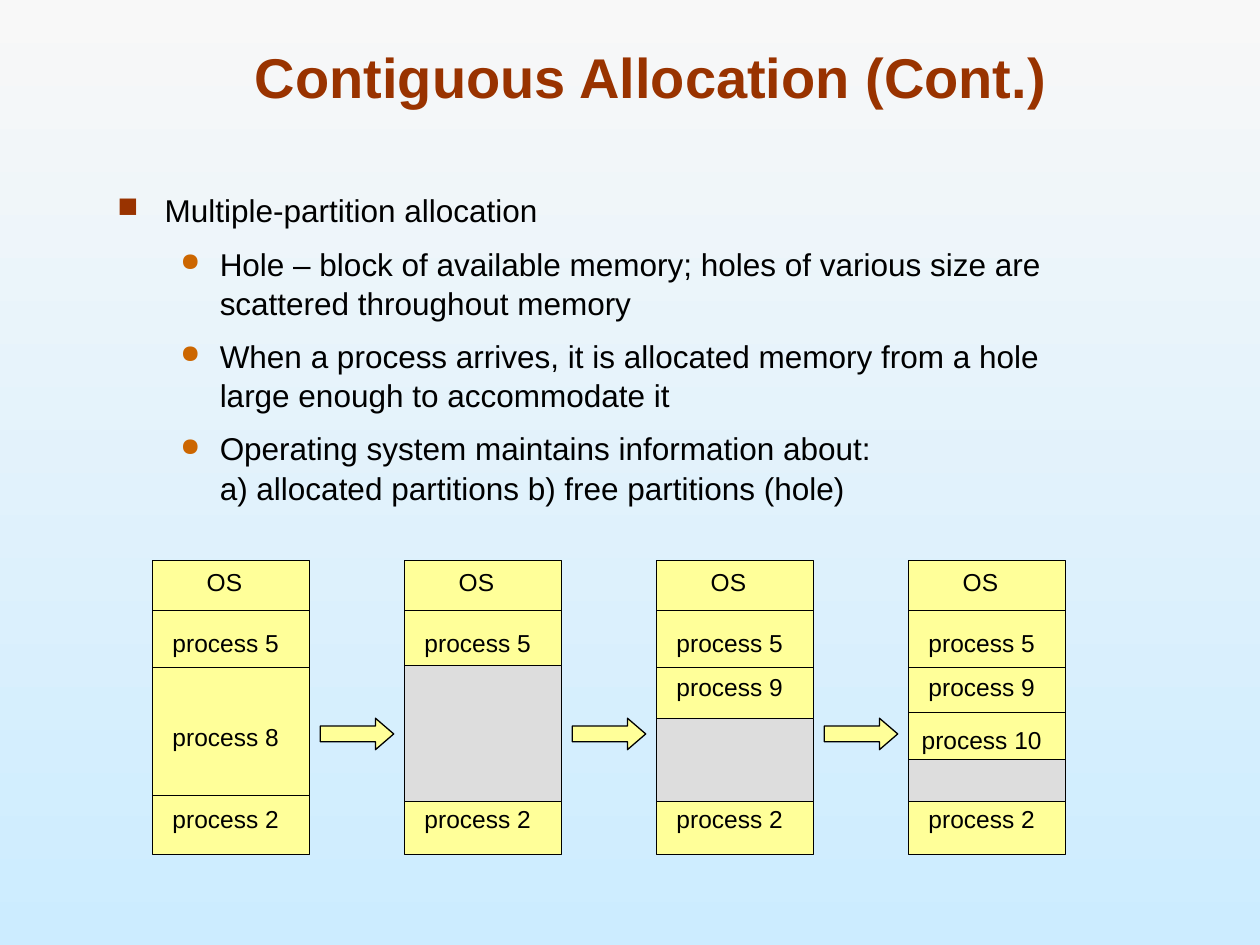
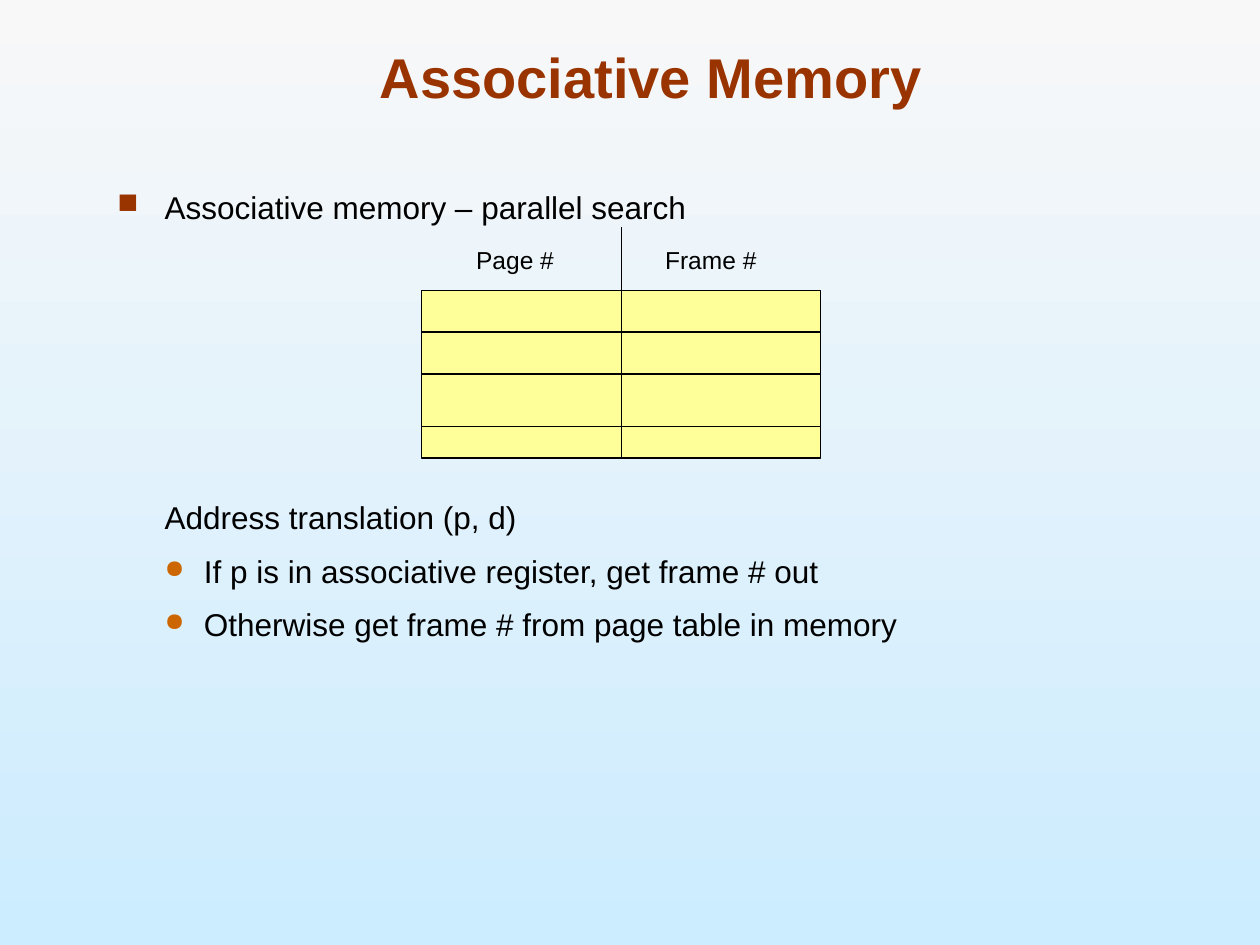
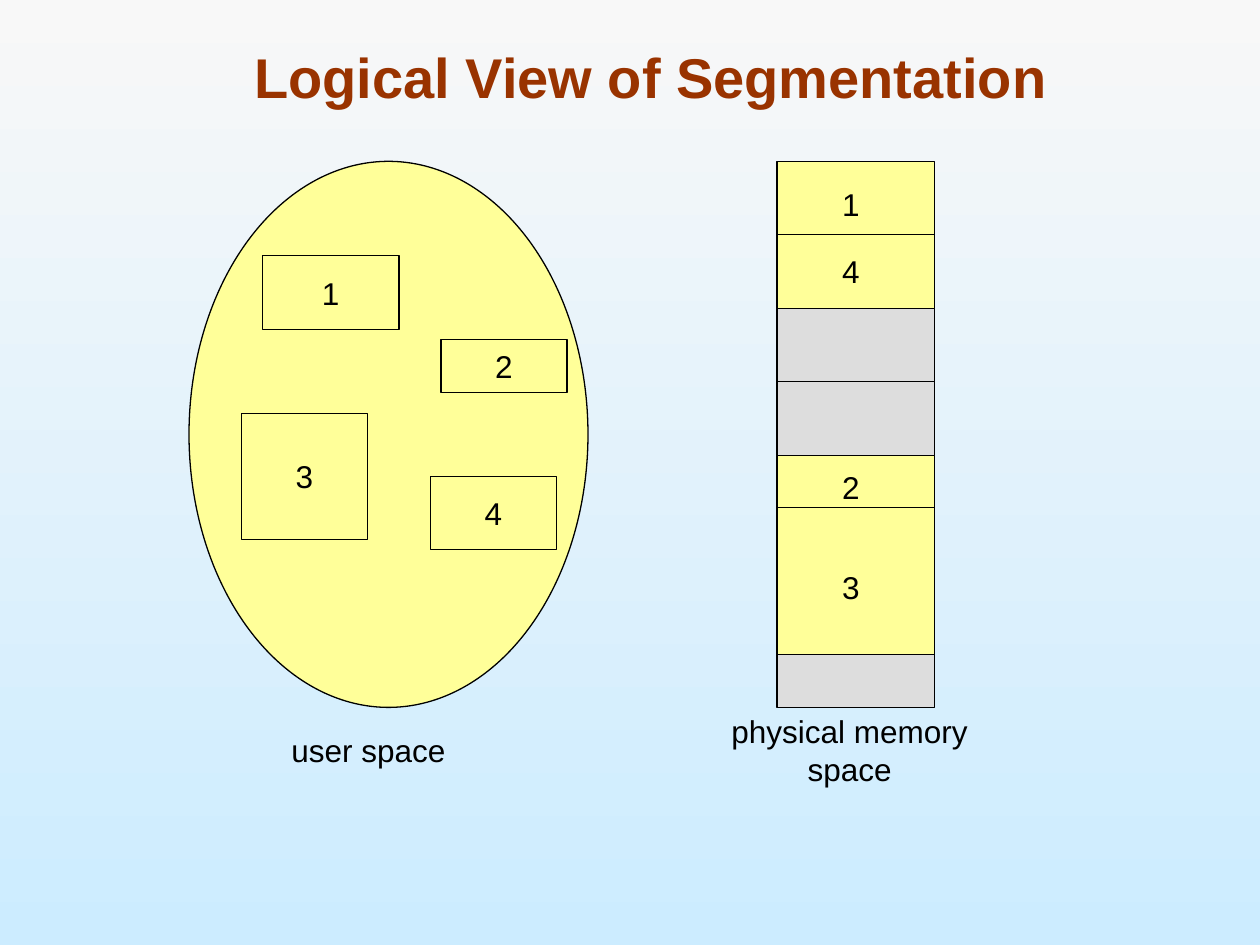
import lxml.etree
import pptx
import pptx.dml.color
import pptx.enum.shapes
import pptx.enum.text
import pptx.oxml.ns
import pptx.util

Pt = pptx.util.Pt
color = pptx.dml.color.RGBColor.from_string
qn = pptx.oxml.ns.qn
Shape = pptx.enum.shapes.MSO_SHAPE
Align = pptx.enum.text.PP_ALIGN
Anchor = pptx.enum.text.MSO_ANCHOR

FONT = "Arial"
BLACK = "000000"
RUST = "993300"
ORANGE = "CC6600"
YELLOW = "FFFF99"
GREY = "DDDDDD"
BACKGROUND = ("F8F8F8", "CCECFF")
LINE_WIDTH = 0.75
BODY_SIZE = 18
LABEL_SIZE = 14
SPACE_BEFORE = 7.9
BULLETS = {"square": ("■", RUST, 90), "dot": ("●", ORANGE, 80)}


def add_box(page, kind, bounds, fill=None, text="", size=BODY_SIZE,
            align=Align.CENTER, ink=BLACK, bold=False):
    """Add a filled preset shape, or a plain text box when kind is None."""
    lengths = [Pt(length) for length in bounds]
    if kind is None:
        box = page.shapes.add_textbox(*lengths)
    else:
        box = page.shapes.add_shape(kind, *lengths)
        box.shadow.inherit = False
        box.fill.solid()
        box.fill.fore_color.rgb = color(fill)
        box.line.color.rgb = color(BLACK)
        box.line.width = Pt(LINE_WIDTH)
    if text:
        frame = box.text_frame
        frame.word_wrap = False
        frame.vertical_anchor = Anchor.MIDDLE
        para = frame.paragraphs[0]
        para.text = text
        para.alignment = align
        para.font.name = FONT
        para.font.size = Pt(size)
        para.font.bold = bold
        para.font.color.rgb = color(ink)
    return box


def add_body(page, top, height, items):
    """Add body text; each item is bullet, left margin, hanging, space before, text."""
    frame = page.shapes.add_textbox(Pt(60), Pt(top), Pt(579), Pt(height)).text_frame
    frame.word_wrap = True
    for index, (bullet, margin, hanging, before, text) in enumerate(items):
        para = frame.add_paragraph() if index else frame.paragraphs[0]
        para.text = text
        para.line_spacing = 1.04
        if index:
            para.space_before = Pt(before)
        properties = para._p.get_or_add_pPr()
        properties.set("marL", str(Pt(margin)))
        properties.set("indent", str(-Pt(hanging)))
        if bullet:
            mark, mark_color, percent = BULLETS[bullet]
            holder = lxml.etree.SubElement(properties, qn("a:buClr"))
            lxml.etree.SubElement(holder, qn("a:srgbClr"), val=mark_color)
            lxml.etree.SubElement(properties, qn("a:buSzPct"), val=str(percent * 1000))
            lxml.etree.SubElement(properties, qn("a:buChar"), char=mark)
        else:
            lxml.etree.SubElement(properties, qn("a:buNone"))
        para.font.name = FONT
        para.font.size = Pt(BODY_SIZE)
        para.font.color.rgb = color(BLACK)


deck = pptx.Presentation()
deck.slide_width = Pt(720)
deck.slide_height = Pt(540)

pages = []
for title in ("Contiguous Allocation (Cont.)", "Associative Memory",
              "Logical View of Segmentation"):
    page = deck.slides.add_slide(deck.slide_layouts[6])
    backdrop = page.background.fill
    backdrop.gradient()
    backdrop.gradient_angle = 270
    for stop, position, shade in zip(backdrop.gradient_stops, (0, 1), BACKGROUND):
        stop.position = position
        stop.color.rgb = color(shade)
    heading = add_box(page, None, (54, 18, 636, 48), text=title, size=32,
                      ink=RUST, bold=True)
    heading.text_frame.word_wrap = True
    heading.text_frame.vertical_anchor = Anchor.BOTTOM
    pages.append(page)
allocation, associative, segmentation = pages
rules = []  # page, then start and end of each dividing line

# Contiguous allocation: four states of memory
add_body(allocation, 105, 205, [
    ("square", 27, 27, 0, "Multiple-partition allocation"),
    ("dot", 58.5, 22.5, SPACE_BEFORE,
     "Hole – block of available memory; holes of various size are scattered throughout memory"),
    ("dot", 58.5, 22.5, SPACE_BEFORE,
     "When a process arrives, it is allocated memory from a hole large enough to accommodate it"),
    ("dot", 58.5, 22.5, SPACE_BEFORE,
     "Operating system maintains information about:\n"
     "a) allocated partitions b) free partitions (hole)"),
])
HOLE_BOTTOM = 458
# Each state: processes with label tops, divider heights, top of the hole
states = [
    ([("process 8", 409)], [381.6, 454.5], None),
    ([], [], 380.2),
    ([("process 9", 380.2)], [381.6], 410.4),
    ([("process 9", 380.2), ("process 10", 410.4)], [381.6, 407], 434.2),
]
for index, (processes, dividers, hole_top) in enumerate(states):
    left = 87 + 144 * index
    add_box(allocation, Shape.RECTANGLE, (left, 320.4, 90, 168), YELLOW)
    if hole_top:
        add_box(allocation, Shape.RECTANGLE,
                (left, hole_top, 90, HOLE_BOTTOM - hole_top), GREY)
        arrow = add_box(allocation, Shape.RIGHT_ARROW, (left - 48, 410.4, 42, 18), YELLOW)
        arrow.adjustments[1] = 0.58
    add_box(allocation, None, (left + 24, 320.4, 34.5, 24.5), text="OS", size=LABEL_SIZE)
    for name, top in [("process 5", 355), *processes, ("process 2", 455.8)]:
        add_box(allocation, None, (left, top, 84, 24.5), text=name, size=LABEL_SIZE)
    for height in [349, *dividers]:
        rules.append((allocation, left, height, left + 90, height))

# Associative memory: page and frame registers
add_body(associative, 103, 353, [
    ("square", 27, 27, 0, "Associative memory – parallel search"),
    (None, 27, 0, 155, "Address translation (p, d)"),
    ("dot", 49.5, 22.5, SPACE_BEFORE, "If p is in associative register, get frame # out"),
    ("dot", 49.5, 22.5, SPACE_BEFORE, "Otherwise get frame # from page table in memory"),
])
add_box(associative, Shape.RECTANGLE, (241, 165.8, 228, 96), YELLOW)
rules.append((associative, 355, 129.8, 355, 261.8))
for height in (189.8, 213.8, 243.8):
    rules.append((associative, 241, height, 469, height))
for left, text in ((265, "Page #"), (373, "Frame #")):
    add_box(associative, None, (left, 136.3, 102, 24), text=text,
            size=LABEL_SIZE, align=Align.LEFT)

# Segmentation: user space beside physical memory
add_box(segmentation, Shape.OVAL, (108, 92.2, 228, 312), YELLOW)
for number, bounds in (("1", (150, 146.2, 78, 42)), ("3", (138, 236.2, 72, 72)),
                       ("2", (252, 194.2, 72, 30)), ("4", (246, 272.2, 72, 42))):
    add_box(segmentation, Shape.RECTANGLE, bounds, YELLOW, number)

top = 92.2
for height, fill in ((84, YELLOW), (84, GREY), (114, YELLOW), (30, GREY)):
    add_box(segmentation, Shape.RECTANGLE, (444, top, 90, height), fill)
    top += height
for height in (134.2, 218.2, 290.2):
    rules.append((segmentation, 444, height, 534, height))
for number, top in (("1", 101.8), ("4", 140.4), ("2", 263.6), ("3", 321.1)):
    add_box(segmentation, None, (474, top, 24.5, 29), text=number)
for text, left, width in (("user space", 157, 107), ("physical memory space", 384.5, 202)):
    add_box(segmentation, None, (left, 414, width, 29), text=text)

for page, *ends in rules:
    rule = page.shapes.add_connector(pptx.enum.shapes.MSO_CONNECTOR.STRAIGHT,
                                     *[Pt(end) for end in ends])
    rule.line.color.rgb = color(BLACK)
    rule.line.width = Pt(LINE_WIDTH)
    lxml.etree.SubElement(rule._element.spPr, qn("a:effectLst"))

deck.save("out.pptx")
